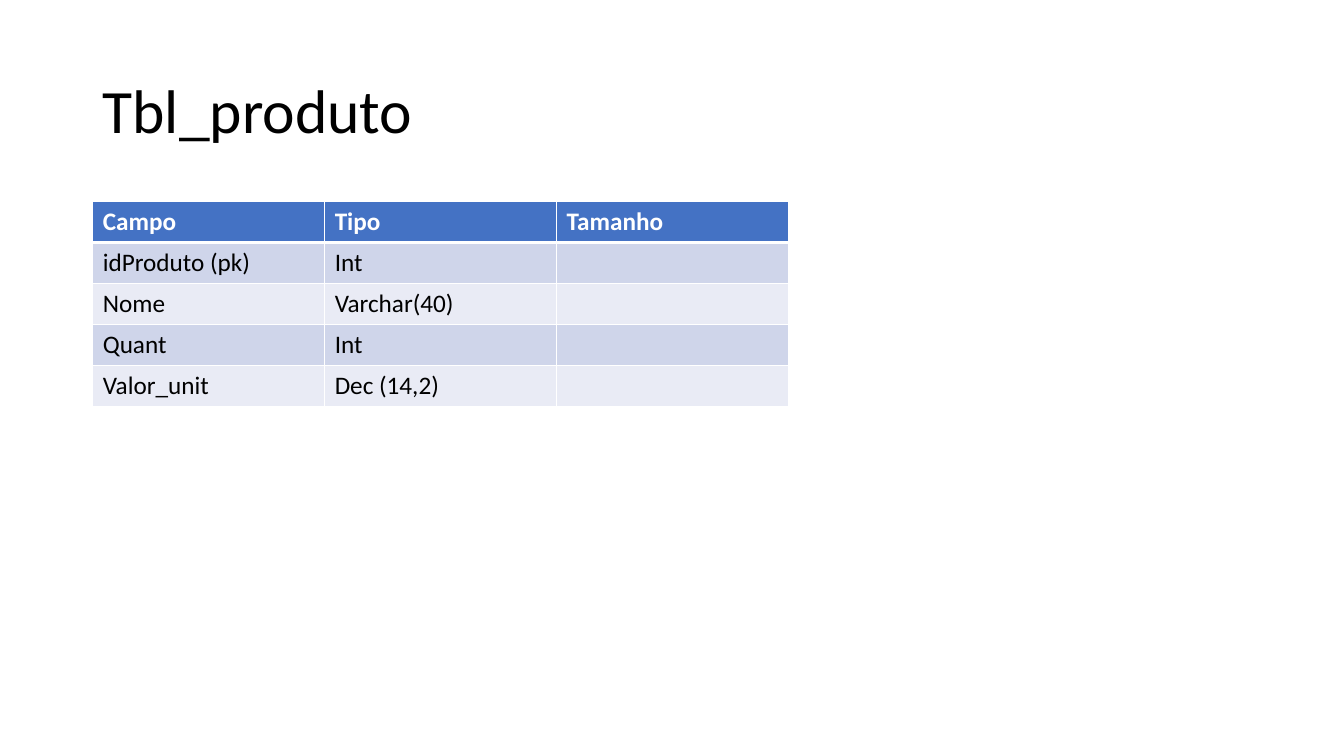
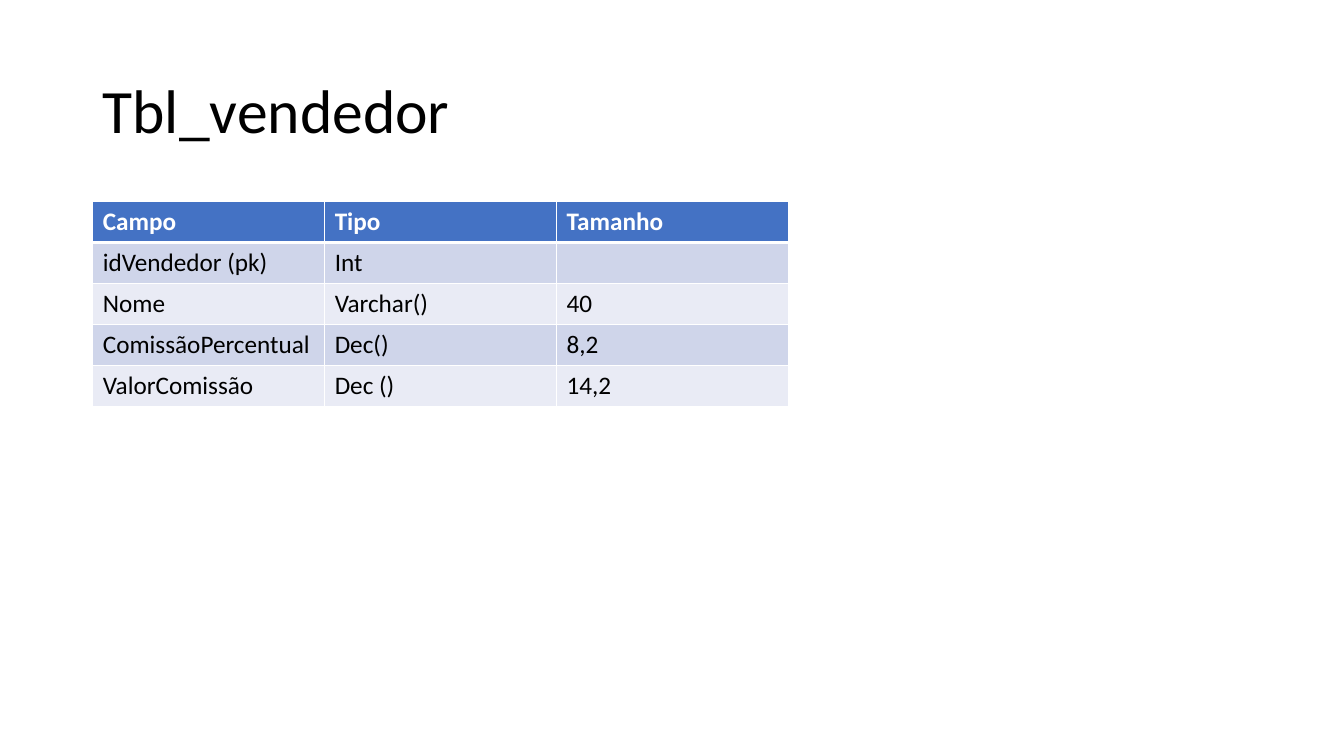
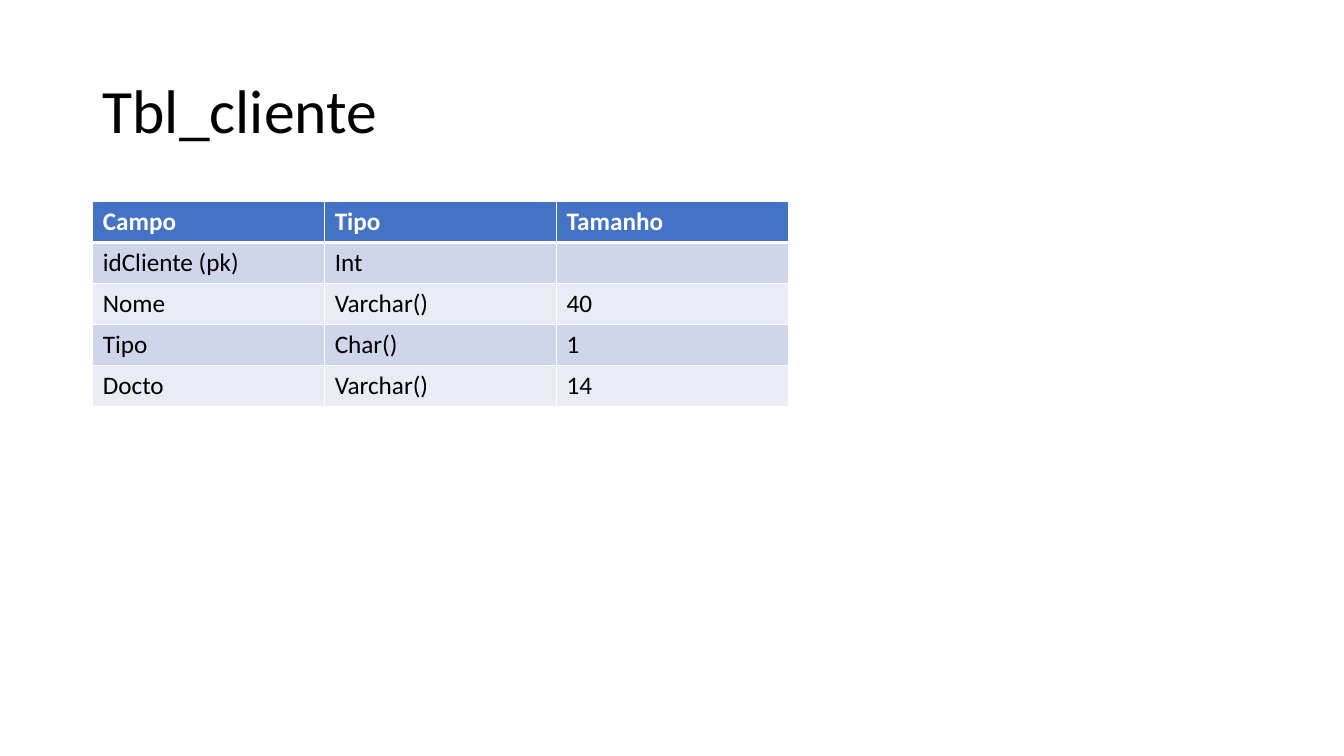
from lxml import etree
from pptx import Presentation
from pptx.dml.color import RGBColor
from pptx.enum.text import MSO_ANCHOR
from pptx.oxml.ns import qn
from pptx.util import Inches, Pt

MIDDLE = MSO_ANCHOR.MIDDLE
FONT = "Calibri"
COLORS = {
    "text": "000000",
    "white": "FFFFFF",
    "head": "4472C4",
    "odd": "CFD5EA",
    "even": "E9EBF5",
}
LEFT = 0.92
HEADER = ("Campo", "Tipo", "Tamanho")


def color(name):
    return RGBColor.from_string(COLORS[name])


class Deck:
    def __init__(self):
        self.prs = Presentation()
        self.prs.slide_width = Inches(13.33)
        self.prs.slide_height = Inches(7.5)
        self.slide = None

    def page(self):
        self.slide = self.prs.slides.add_slide(self.prs.slide_layouts[6])

    def run(self, para, text, size, tint="text", bold=False):
        run = para.add_run()
        run.text = text
        font = run.font
        font.name, font.size, font.bold = FONT, Pt(size), bold
        font.color.rgb = color(tint)

    def title(self, text):
        box = self.slide.shapes.add_textbox(
            Inches(LEFT), Inches(0.4), Inches(11.5), Inches(1.45))
        frame = box.text_frame
        frame.word_wrap = True
        frame.vertical_anchor = MIDDLE
        para = frame.paragraphs[0]
        para.line_spacing = 0.9
        self.run(para, text, 44)

    def border(self, cell, side, width):
        props = cell._tc.get_or_add_tcPr()
        line = etree.SubElement(props, qn("a:" + side), w=str(Pt(width)))
        fill = etree.SubElement(line, qn("a:solidFill"))
        etree.SubElement(fill, qn("a:srgbClr"), val=COLORS["white"])

    def cell(self, cell, row, text):
        # Borders come before the fill in the cell properties
        thick = {0: "lnB", 1: "lnT"}.get(row)
        for side in ("lnL", "lnR", "lnT", "lnB"):
            self.border(cell, side, 3 if side == thick else 1)
        head = row == 0
        band = "head" if head else "odd" if row % 2 else "even"
        cell.fill.solid()
        cell.fill.fore_color.rgb = color(band)
        if text:
            self.run(cell.text_frame.paragraphs[0], text, 18,
                     "white" if head else "text", head)

    def table(self, rows):
        rows = [HEADER, *rows]
        table = self.slide.shapes.add_table(
            len(rows), len(HEADER), Inches(LEFT), Inches(2),
            Inches(6.9), Inches(2.03)).table
        for col in table.columns:
            col.width = Inches(2.3)
        for r, texts in enumerate(rows):
            for c, text in enumerate(texts):
                self.cell(table.cell(r, c), r, text)


# Fields of each database table
TABLES = {
    "Tbl_produto": [
        ("idProduto (pk)", "Int", ""),
        ("Nome", "Varchar(40)", ""),
        ("Quant", "Int", ""),
        ("Valor_unit", "Dec (14,2)", ""),
    ],
    "Tbl_vendedor": [
        ("idVendedor (pk)", "Int", ""),
        ("Nome", "Varchar()", "40"),
        ("ComissãoPercentual", "Dec()", "8,2"),
        ("ValorComissão", "Dec ()", "14,2"),
    ],
    "Tbl_cliente": [
        ("idCliente (pk)", "Int", ""),
        ("Nome", "Varchar()", "40"),
        ("Tipo", "Char()", "1"),
        ("Docto", "Varchar()", "14"),
    ],
}

# One slide for each table
deck = Deck()
for name, fields in TABLES.items():
    deck.page()
    deck.title(name)
    deck.table(fields)
deck.prs.save("out.pptx")
